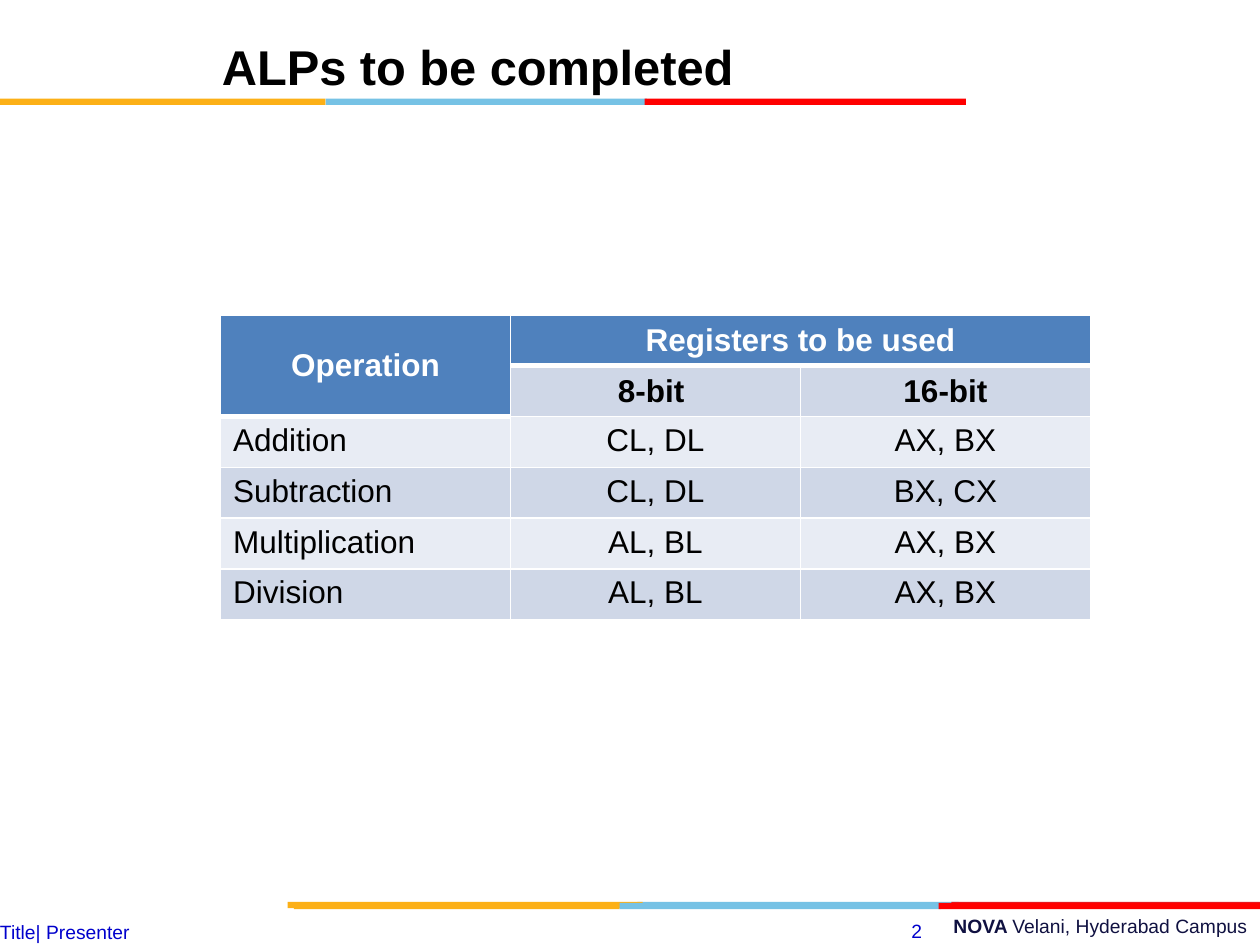
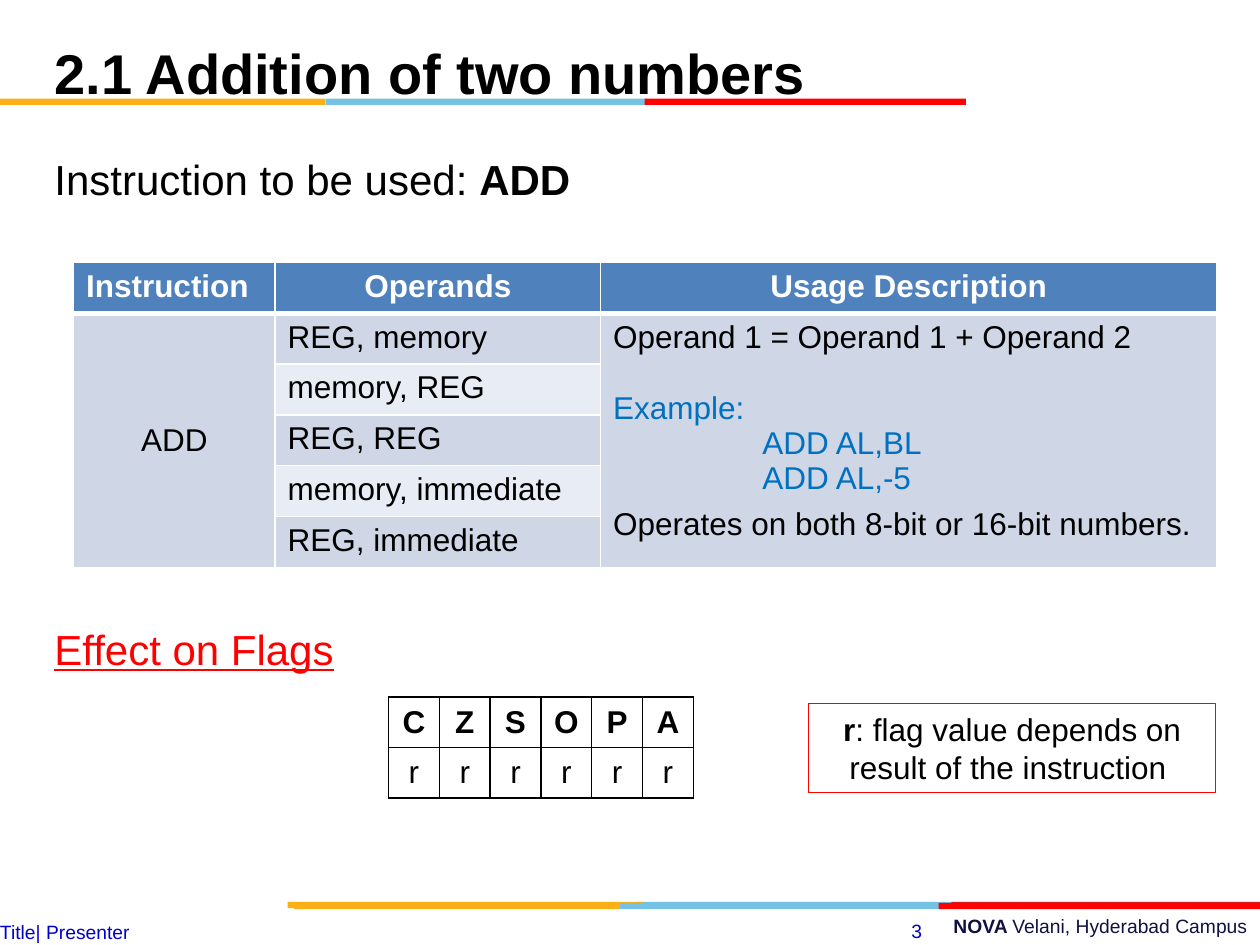
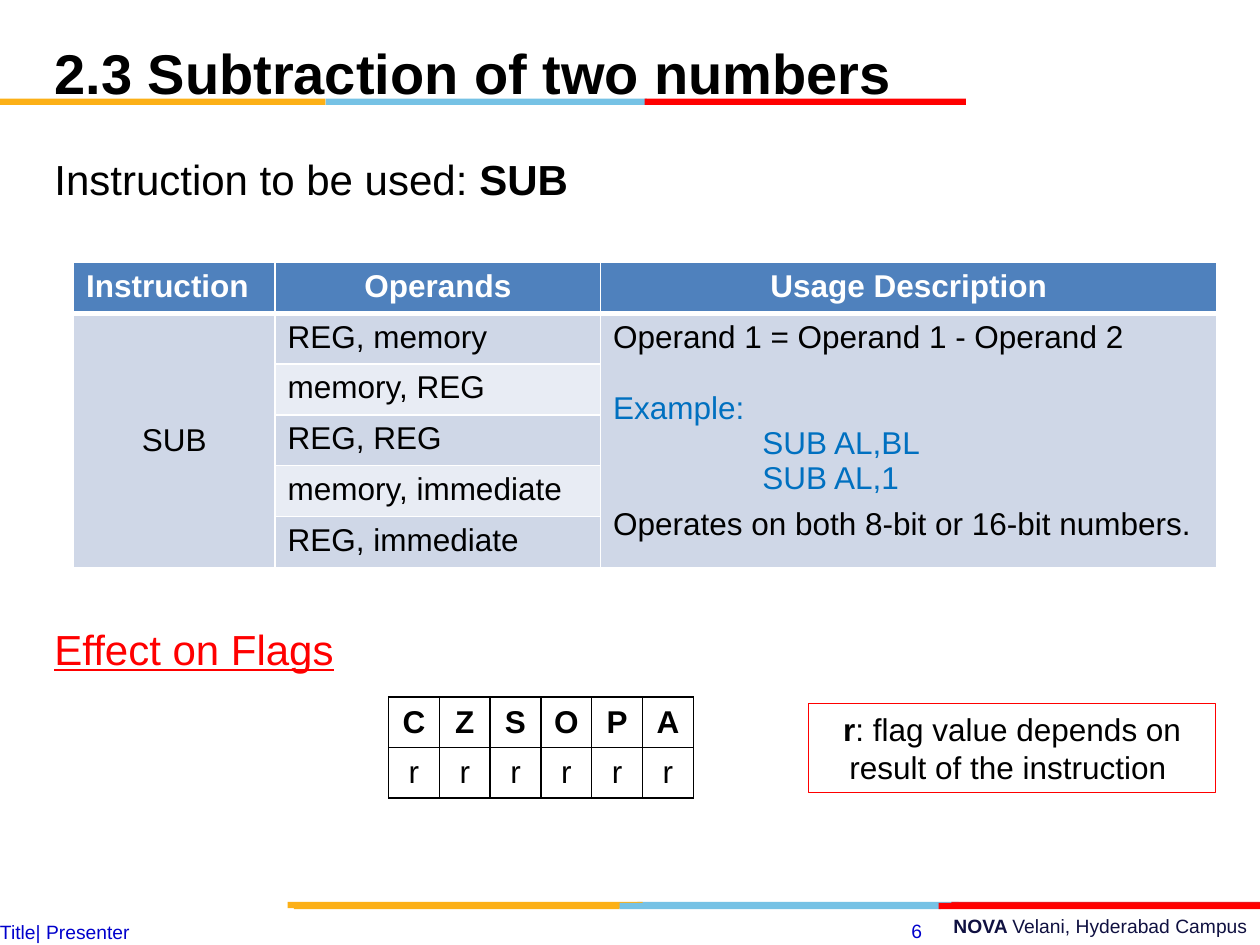
from dataclasses import dataclass
from typing import NamedTuple, Optional

from lxml.etree import SubElement
from pptx import Presentation
from pptx.dml.color import RGBColor
from pptx.enum.shapes import MSO_SHAPE
from pptx.enum.text import MSO_ANCHOR as Anchor, PP_ALIGN as Align
from pptx.oxml.ns import qn
from pptx.util import Inches, Pt

# Colours and font
BLACK = RGBColor(0x00, 0x00, 0x00)
WHITE = RGBColor(0xFF, 0xFF, 0xFF)
RED = RGBColor(0xFF, 0x00, 0x00)
CRIMSON = RGBColor(0xE3, 0x1C, 0x24)
AMBER = RGBColor(0xFC, 0xB0, 0x17)
SKY = RGBColor(0x76, 0xC2, 0xE5)
NAVY = RGBColor(0x10, 0x11, 0x41)
FOOTER_BLUE = RGBColor(0x00, 0x00, 0xCC)
EXAMPLE_BLUE = RGBColor(0x00, 0x70, 0xC0)
HEADER_BLUE = RGBColor(0x4F, 0x81, 0xBD)
DARK_ROW = RGBColor(0xCF, 0xD7, 0xE7)
LIGHT_ROW = RGBColor(0xE8, 0xEC, 0xF4)
FONT = "Arial"

# The slide is a grid of 120 columns by 90 rows
COLUMNS, ROWS = 120, 90
SLIDE_WIDTH, SLIDE_HEIGHT = Inches(10), Inches(7.5)


class Area(NamedTuple):
    left: float
    top: float
    width: float
    height: float


class Segment(NamedTuple):
    left: float
    width: float
    color: RGBColor


class Band(NamedTuple):
    top: float
    segments: list[Segment]


class Run(NamedTuple):
    text: str
    bold: bool = False


@dataclass
class Line:
    runs: list[Run]
    color: Optional[RGBColor] = None
    before: float = 0
    indent: float = 0


@dataclass
class Cell:
    lines: list[Line]
    fill: Optional[RGBColor] = None
    color: RGBColor = BLACK
    align: Align = Align.LEFT
    anchor: Anchor = Anchor.TOP
    span: tuple[int, int] = (1, 1)


@dataclass
class Operation:
    number: int
    title: str
    mnemonic: str
    formula: str
    examples: list[str]


BANDS = [
    Band(85.9, [Segment(60.7, 30.6, SKY), Segment(90.6, 29.4, CRIMSON),
                Segment(27.4, 33.8, AMBER)]),
    Band(86, [Segment(59, 30.6, SKY), Segment(28, 31, AMBER),
              Segment(89.4, 30.6, RED)]),
    Band(9.4, [Segment(31, 30.6, SKY), Segment(0, 31, AMBER),
               Segment(61.4, 30.6, RED)]),
]
BAND_HEIGHT = 0.6
TABLE_ROW = 4.84

REGISTERS = [("Addition", "CL, DL", "AX, BX"),
             ("Subtraction", "CL, DL", "BX, CX"),
             ("Multiplication", "AL, BL", "AX, BX"),
             ("Division", "AL, BL", "AX, BX")]
OPERANDS = ["REG, memory", "memory, REG", "REG, REG",
            "memory, immediate", "REG, immediate"]
OPERATIONS = [
    Operation(3, "2.1 Addition of two numbers", "ADD",
              "Operand 1 = Operand 1 + Operand 2", ["ADD AL,BL", "ADD AL,-5"]),
    Operation(6, "2.3 Subtraction of two numbers", "SUB",
              "Operand 1 = Operand 1 - Operand 2", ["SUB AL,BL", "SUB AL,1"]),
]


# Grid helpers
def across(columns: float) -> int:
    return round(SLIDE_WIDTH * columns / COLUMNS)


def down(rows: float) -> int:
    return round(SLIDE_HEIGHT * rows / ROWS)


def place(area: Area) -> tuple[int, int, int, int]:
    return across(area.left), down(area.top), across(area.width), down(area.height)


# Text
def line(text: str, bold: bool = False, **style) -> Line:
    return Line([Run(text, bold)], **style)


def write(frame, lines: list[Line], *, size: float = 18, color: RGBColor = BLACK,
          align: Align = Align.LEFT, spacing: Optional[float] = None,
          underline: bool = False) -> None:
    for index, content in enumerate(lines):
        paragraph = frame.add_paragraph() if index else frame.paragraphs[0]
        paragraph.alignment = align
        paragraph.space_before = Pt(content.before)
        if spacing:
            paragraph.line_spacing = spacing
        if content.indent:
            properties = paragraph._p.get_or_add_pPr()
            properties.set("marL", str(across(content.indent)))
        for part in content.runs:
            run = paragraph.add_run()
            run.text = part.text
            run.font.name, run.font.size = FONT, Pt(size)
            run.font.bold, run.font.underline = part.bold, underline
            run.font.color.rgb = content.color or color


def add_text(slide, area: Area, lines: list[Line], *, anchor: Anchor = Anchor.TOP,
             inset: bool = True, **style) -> None:
    frame = slide.shapes.add_textbox(*place(area)).text_frame
    frame.word_wrap = True
    frame.vertical_anchor = anchor
    if not inset:
        frame.margin_left = frame.margin_right = 0
        frame.margin_top = frame.margin_bottom = 0
    write(frame, lines, **style)


# Tables
def set_border(cell, edge: str, color: RGBColor, points: float) -> None:
    properties = cell._tc.get_or_add_tcPr()
    border = SubElement(properties, qn(f"a:ln{edge}"), w=str(Pt(points)))
    fill = SubElement(border, qn("a:solidFill"))
    SubElement(fill, qn("a:srgbClr"), val=str(color))


def add_table(slide, left: float, top: float, widths: list[float], row_height: float,
              rows: list[list[Optional[Cell]]], border: RGBColor) -> None:
    area = Area(left, top, sum(widths), row_height * len(rows))
    table = slide.shapes.add_table(len(rows), len(widths), *place(area)).table
    table.first_row = table.horz_banding = False
    for column, width in zip(table.columns, widths):
        column.width = across(width)
    for row in table.rows:
        row.height = down(row_height)

    # Each grid position takes the content of the cell that spans it
    owners: dict[tuple[int, int], Cell] = {}
    for r, row in enumerate(rows):
        for c, content in enumerate(row):
            if content:
                for dr in range(content.span[0]):
                    for dc in range(content.span[1]):
                        owners[r + dr, c + dc] = content

    for (r, c), content in owners.items():
        cell = table.cell(r, c)
        above = owners.get((r - 1, c))
        under_header = above and above.fill == HEADER_BLUE
        for edge in "LRTB":
            heavy = (edge == "B" and content.fill == HEADER_BLUE
                     or edge == "T" and under_header and above is not content)
            set_border(cell, edge, border, 3 if heavy else 1)
        if content.fill is None:
            cell.fill.background()
        else:
            cell.fill.solid()
            cell.fill.fore_color.rgb = content.fill

    for r, row in enumerate(rows):
        for c, content in enumerate(row):
            if content is None:
                continue
            cell = table.cell(r, c)
            if content.span != (1, 1):
                cell.merge(table.cell(r + content.span[0] - 1, c + content.span[1] - 1))
            cell.vertical_anchor = content.anchor
            write(cell.text_frame, content.lines, color=content.color, align=content.align)


def header(text: str, **style) -> Cell:
    return Cell([line(text, True)], HEADER_BLUE, WHITE, **style)


def row_fill(index: int) -> RGBColor:
    return LIGHT_ROW if index % 2 else DARK_ROW


# Shared slide frame
def add_frame(deck, number: int):
    slide = deck.slides.add_slide(deck.slide_layouts[6])
    campus = Line([Run("NOVA ", True), Run("Velani, Hyderabad Campus")])
    add_text(slide, Area(43, 86.5, 77, 3.5), [campus],
             size=11, color=NAVY, align=Align.RIGHT)
    for band in BANDS:
        for segment in band.segments:
            area = Area(segment.left, band.top, segment.width, BAND_HEIGHT)
            bar = slide.shapes.add_shape(MSO_SHAPE.RECTANGLE, *place(area))
            bar.shadow.inherit = False
            bar.fill.solid()
            bar.fill.fore_color.rgb = segment.color
            bar.line.fill.background()
    add_text(slide, Area(80, 87, 9, 3.4), [line(str(number))],
             size=11, color=FOOTER_BLUE, align=Align.RIGHT)
    add_text(slide, Area(0, 87.6, 84, 2.3), [line("Title| Presenter")],
             inset=False, size=11, color=FOOTER_BLUE)
    return slide


def add_title(slide, title: str, height: float, **style) -> None:
    add_text(slide, Area(4, 2, 83, height), [line(title, True)],
             anchor=Anchor.MIDDLE, **style)


# Slides
def add_overview(deck) -> None:
    slide = add_frame(deck, 2)
    centred = {"align": Align.CENTER, "anchor": Anchor.MIDDLE}
    rows = [
        [header("Operation", span=(2, 1), **centred),
         header("Registers to be used", span=(1, 2), **centred), None],
        [None] + [Cell([line(width, True)], DARK_ROW, **centred)
                  for width in ("8-bit ", "16-bit")],
    ]
    for index, (operation, *registers) in enumerate(REGISTERS, start=1):
        fill = row_fill(index)
        rows.append([Cell([line(operation)], fill)]
                    + [Cell([line(pair)], fill, align=Align.CENTER) for pair in registers])
    add_table(slide, 21, 30, [27.62] * 3, TABLE_ROW, rows, WHITE)
    add_title(slide, "ALPs to be completed", 7, size=27.9, align=Align.CENTER, spacing=1.29)


def add_flags(slide) -> None:
    add_text(slide, Area(4, 58.8, 114, 5.8), [line("Effect on Flags")],
             size=24, color=RED, underline=True)
    flags = "CZSOPA"
    rows = [[Cell([line(text, bold)], align=Align.CENTER, anchor=Anchor.MIDDLE)
             for text in texts]
            for texts, bold in ((flags, True), ("r" * len(flags), False))]
    add_table(slide, 37, 66.4, [TABLE_ROW] * len(flags), 4.57, rows, BLACK)

    legend = slide.shapes.add_shape(MSO_SHAPE.RECTANGLE, *place(Area(77, 67, 38.8, 8.5)))
    legend.shadow.inherit = False
    legend.fill.background()
    legend.line.color.rgb = RED
    legend.line.width = Pt(0.75)
    legend.text_frame.word_wrap = True
    legend.text_frame.vertical_anchor = Anchor.TOP
    meaning = ": flag value depends on result of the instruction "
    write(legend.text_frame, [Line([Run("r", True), Run(meaning)])], align=Align.CENTER)


def add_operation(deck, operation: Operation) -> None:
    slide = add_frame(deck, operation.number)
    add_title(slide, operation.title, 9, size=32, spacing=1.12)
    instruction = Line([Run("Instruction to be used: "), Run(operation.mnemonic, True)])
    add_text(slide, Area(4, 14, 114, 5.8), [instruction], size=24)

    usage = [line(operation.formula),
             line("Example:", color=EXAMPLE_BLUE, before=20.5),
             *(line(example, color=EXAMPLE_BLUE, indent=14.2)
               for example in operation.examples),
             line("Operates on both 8-bit or 16-bit numbers.", before=6)]
    depth = (len(OPERANDS), 1)
    rows = [[header("Instruction"), header("Operands", align=Align.CENTER),
             header("Usage Description", align=Align.CENTER)]]
    rows += [[None, Cell([line(operands)], row_fill(index)), None]
             for index, operands in enumerate(OPERANDS)]
    rows[1][0] = Cell([line(operation.mnemonic)], DARK_ROW, align=Align.CENTER,
                      anchor=Anchor.MIDDLE, span=depth)
    rows[1][2] = Cell(usage, DARK_ROW, span=depth)
    add_table(slide, 7, 25, [19.2, 31, 58.7], TABLE_ROW, rows, WHITE)
    add_flags(slide)


def main() -> None:
    deck = Presentation()
    deck.slide_width, deck.slide_height = SLIDE_WIDTH, SLIDE_HEIGHT
    add_overview(deck)
    for operation in OPERATIONS:
        add_operation(deck, operation)
    deck.save("out.pptx")


if __name__ == "__main__":
    main()
